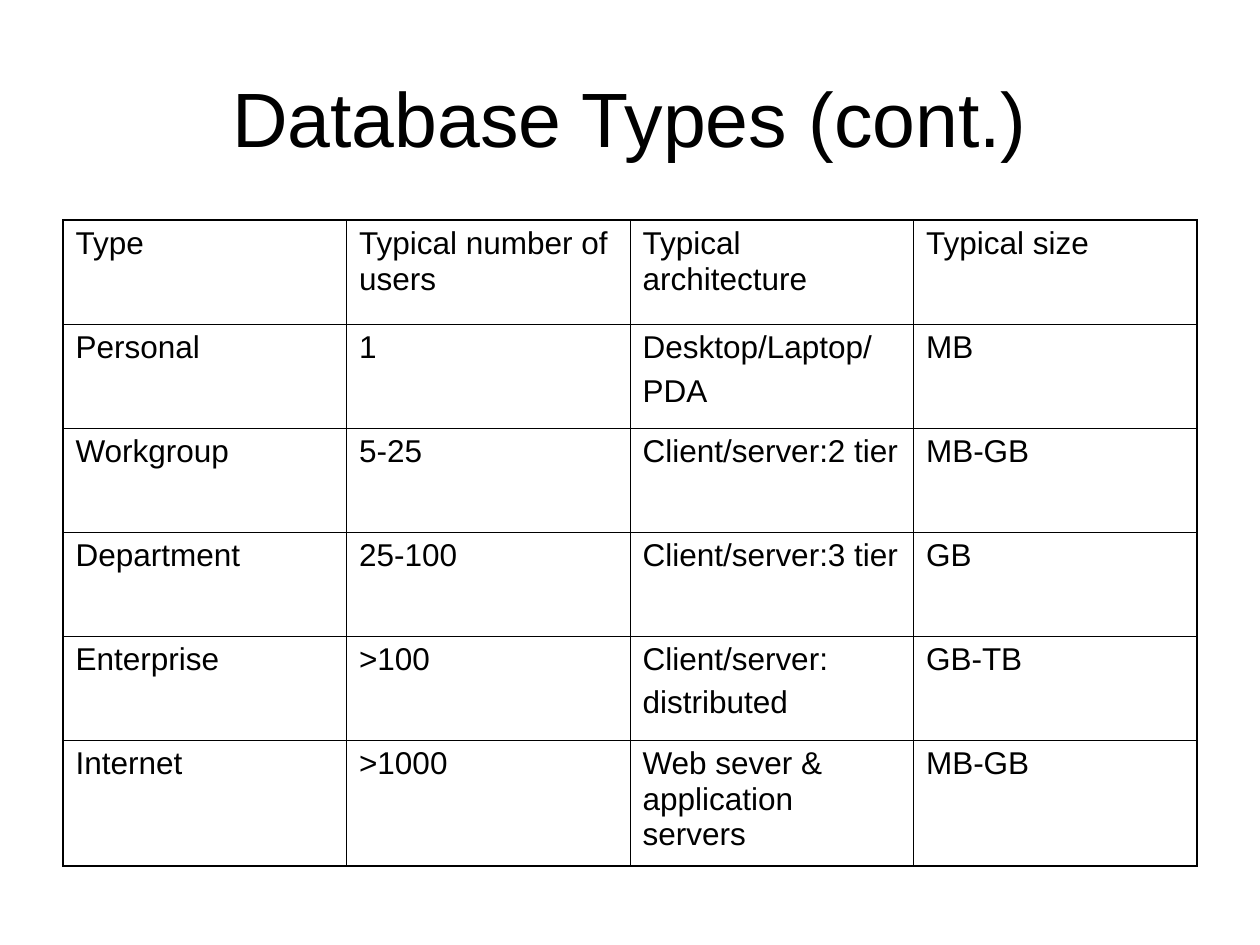
"""Build the slide with the table of database types."""
from lxml import etree
from pptx import Presentation, util as u
from pptx.dml.color import RGBColor
from pptx.enum import text
from pptx.oxml import ns

TITLE = "Database Types (cont.)"
ROWS = [
    ("Type", "Typical number of users", "Typical architecture", "Typical size"),
    ("Personal", "1", "Desktop/Laptop/\nPDA", "MB"),
    ("Workgroup", "5-25", "Client/server:2 tier", "MB-GB"),
    ("Department", "25-100", "Client/server:3 tier", "GB"),
    ("Enterprise", ">100", "Client/server:\ndistributed", "GB-TB"),
    ("Internet", ">1000", "Web sever & application servers", "MB-GB"),
]
BLACK = RGBColor(0, 0, 0)
FONT = "Arial"
THIN, THICK = u.Pt(0.45), u.Pt(1.08)
TITLE_BOX = (63, 38, 1134, 157)
TABLE_LEFT, TABLE_TOP, TABLE_WIDTH = 63, 220, 1134
ROW_HEIGHTS = [104] * 5 + [126]


def px(n):
    """Turn px into EMU."""
    return u.Emu(n * 914400 // 126)


def set_font(p, size):
    """Set the font of a paragraph."""
    p.font.name, p.font.size = FONT, u.Pt(size)
    p.font.color.rgb = BLACK


def add_border(cell, side, width):
    """Draw one side of a cell."""
    ln = etree.SubElement(cell._tc.get_or_add_tcPr(), ns.qn("a:ln" + side), w=str(width))
    fill = etree.SubElement(ln, ns.qn("a:solidFill"))
    etree.SubElement(fill, ns.qn("a:srgbClr"), val=str(BLACK))


def add_title(slide):
    """Add the centred title."""
    tf = slide.shapes.add_textbox(*map(px, TITLE_BOX)).text_frame
    tf.word_wrap = True
    tf.vertical_anchor = text.MSO_ANCHOR.MIDDLE
    p = tf.paragraphs[0]
    p.text, p.alignment = TITLE, text.PP_ALIGN.CENTER
    set_font(p, 44)


def add_types_table(slide):
    """Add the table with a thicker outer frame."""
    last_row, last_col = len(ROWS) - 1, len(ROWS[0]) - 1
    box = (TABLE_LEFT, TABLE_TOP, TABLE_WIDTH, sum(ROW_HEIGHTS))
    table = slide.shapes.add_table(len(ROWS), len(ROWS[0]), *map(px, box)).table
    table.first_row = table.horz_banding = False
    for row, height in zip(table.rows, ROW_HEIGHTS):
        row.height = px(height)
    for r, row in enumerate(ROWS):
        for c, words in enumerate(row):
            cell = table.cell(r, c)
            cell.text = words
            for i, p in enumerate(cell.text_frame.paragraphs):
                if i:
                    p.space_before = u.Pt(4.5)
                set_font(p, 18)
            outer = {"L": c == 0, "R": c == last_col, "T": r == 0, "B": r == last_row}
            for side, is_outer in outer.items():
                add_border(cell, side, THICK if is_outer else THIN)
            cell.fill.background()


def main():
    """Build and save the slide."""
    prs = Presentation()
    prs.slide_width, prs.slide_height = px(1260), px(945)
    slide = prs.slides.add_slide(prs.slide_layouts[6])
    add_title(slide)
    add_types_table(slide)
    prs.save("out.pptx")


if __name__ == "__main__":
    main()
